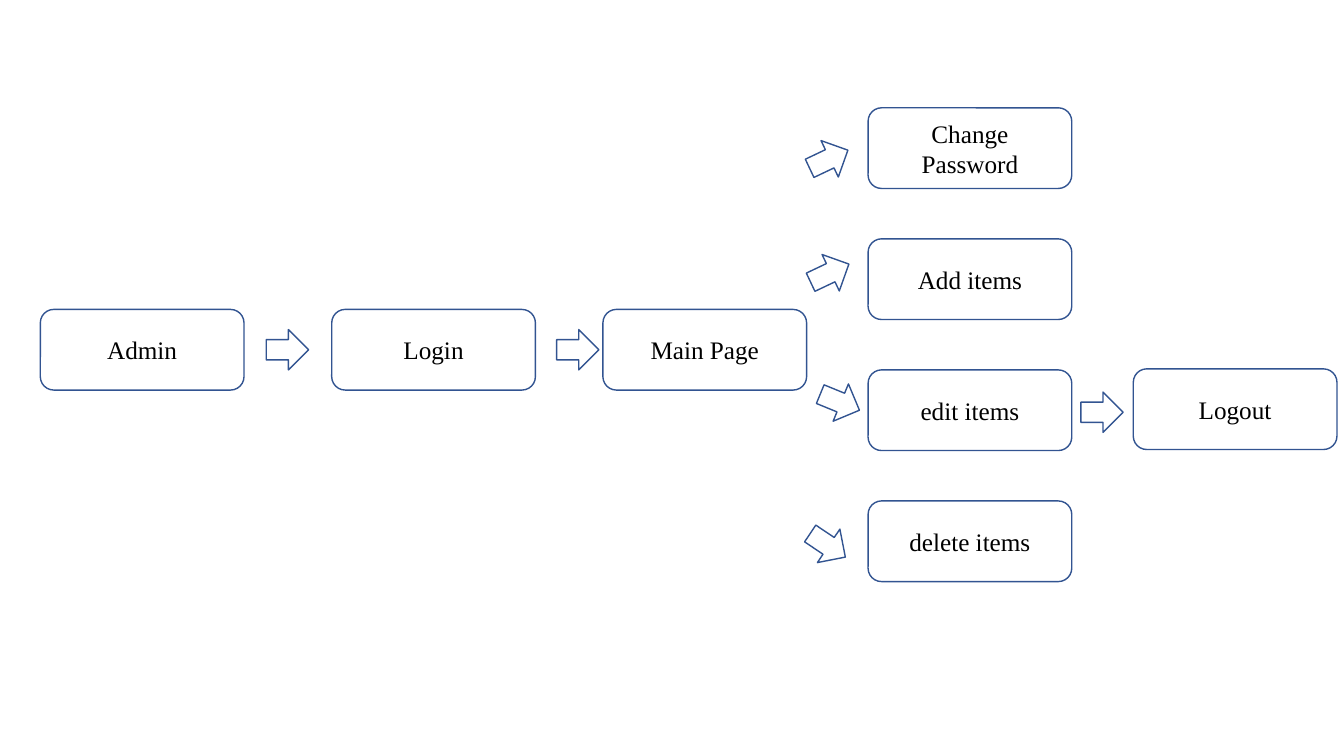
from pptx import Presentation
from pptx.dml.color import RGBColor
from pptx.enum.shapes import MSO_SHAPE as SHAPE
from pptx.enum.text import MSO_ANCHOR as ANCHOR, PP_ALIGN as ALIGN
from pptx.util import Inches, Pt

WHITE, BLUE, BLACK = "FFFFFF", "325491", "000000"
BOX_W, BOX_H = 2.02, 0.8
ARROW_W, ARROW_H = 0.42, 0.4

MAIN_Y = 3.07
MAIN_STEPS = [("Admin", 0.4), ("Login", 3.29), ("Main Page", 5.98)]
ACTIONS = ["Change Password", "Add items", "edit items", "delete items"]
ACTION_X, ACTION_Y, ACTION_STEP = 8.61, 1.07, 1.3
# left, top, rotation
ARROWS = [
    (2.64, 3.27, 0),
    (5.52, 3.27, 0),
    (8.01, 1.38, 334.6),
    (8.02, 2.51, 334.6),
    (8.12, 3.79, 22.3),
    (8, 5.21, 33.9),
    (10.72, 3.89, 0),
]


def color(value):
    return RGBColor.from_string(value)


def add_outlined(slide, kind, x, y, w, h):
    s = slide.shapes.add_shape(kind, Inches(x), Inches(y), Inches(w), Inches(h))
    s.shadow.inherit = False
    s.fill.solid()
    s.fill.fore_color.rgb = color(WHITE)
    s.line.color.rgb = color(BLUE)
    s.line.width = Pt(1)
    return s


def add_step(slide, label, x, y):
    s = add_outlined(slide, SHAPE.ROUNDED_RECTANGLE, x, y, BOX_W, BOX_H)
    tf = s.text_frame
    tf.word_wrap = True
    tf.vertical_anchor = ANCHOR.MIDDLE
    p = tf.paragraphs[0]
    p.alignment = ALIGN.CENTER
    r = p.add_run()
    r.text = label
    for name, value in {"name": "Times New Roman", "size": Pt(18)}.items():
        setattr(r.font, name, value)
    r.font.color.rgb = color(BLACK)


def add_arrow(slide, x, y, rotation):
    s = add_outlined(slide, SHAPE.RIGHT_ARROW, x, y, ARROW_W, ARROW_H)
    s.rotation = rotation


def main():
    prs = Presentation()
    prs.slide_width, prs.slide_height = Inches(13.33), Inches(7.5)
    slide = prs.slides.add_slide(prs.slide_layouts[6])

    for label, x in MAIN_STEPS:
        add_step(slide, label, x, MAIN_Y)
    for i, label in enumerate(ACTIONS):
        add_step(slide, label, ACTION_X, ACTION_Y + i * ACTION_STEP)
    add_step(slide, "Logout", 11.24, 3.66)
    for arrow in ARROWS:
        add_arrow(slide, *arrow)

    prs.save("out.pptx")


if __name__ == "__main__":
    main()
